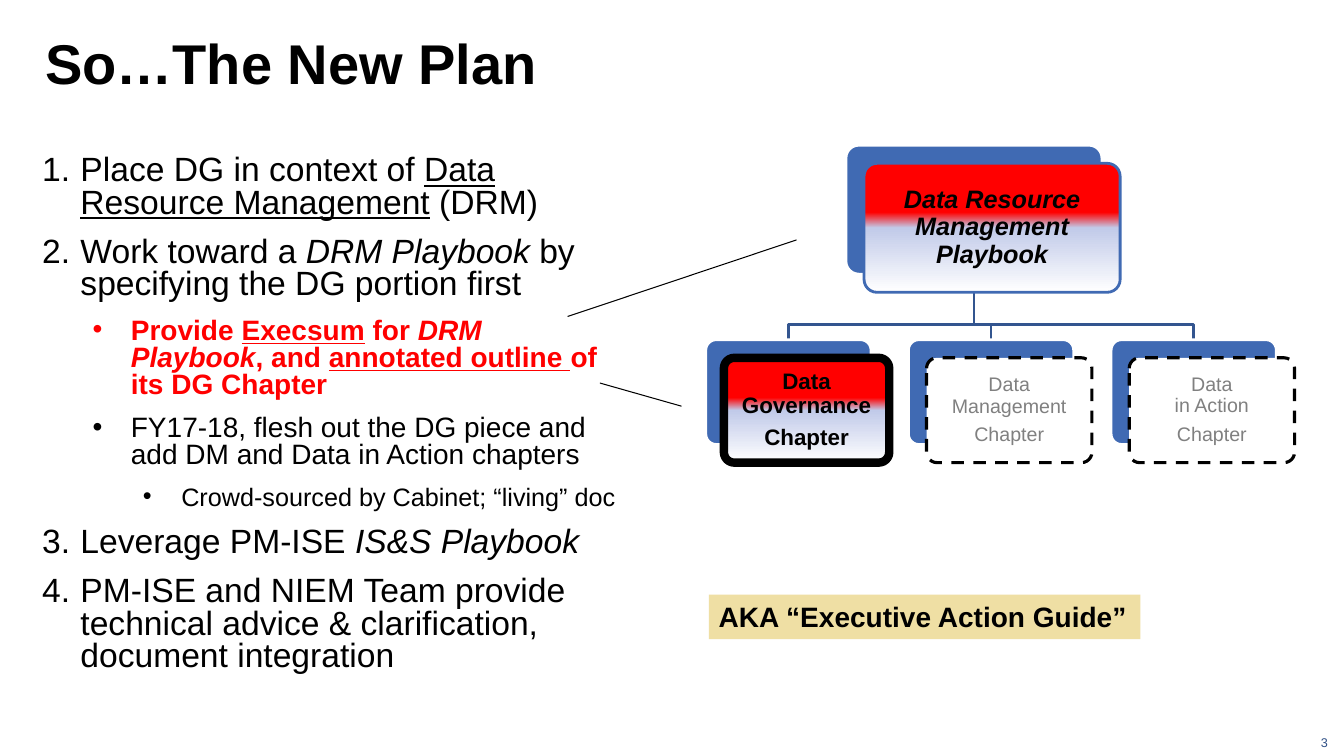
from lxml.etree import SubElement
from pptx import Presentation
from pptx.dml.color import RGBColor
from pptx.enum.dml import MSO_LINE
from pptx.enum.shapes import MSO_CONNECTOR, MSO_SHAPE
from pptx.enum.text import MSO_ANCHOR as Anchor, PP_ALIGN as Align
from pptx.oxml.ns import qn
from pptx.util import Inches, Pt

BLACK = RGBColor(0x00, 0x00, 0x00)
WHITE = RGBColor(0xFF, 0xFF, 0xFF)
RED = RGBColor(0xFF, 0x00, 0x00)
GREY = RGBColor(0x80, 0x80, 0x80)
BLUE = RGBColor(0x40, 0x6A, 0xB3)
TREE_BLUE = RGBColor(0x33, 0x55, 0x8F)
NUMBER_BLUE = RGBColor(0x30, 0x50, 0x86)
SAND = RGBColor(0xEF, 0xDF, 0xA4)
GRADIENT = [(38, "FF0000"), (50, "C1CAE9"), (100, "FFFFFF"), (100, "E1E5F3")]

TITLE = "So…The New Plan"
PAGE_NUMBER = "3"
ALIAS = "AKA “Executive Action Guide”"
PLAN = [
    (0, BLACK, [("Place DG in context of ", ""), ("Data Resource Management", "u"),
                (" (DRM)", "")]),
    (0, BLACK, [("Work toward a ", ""), ("DRM Playbook ", "i"),
                ("by specifying the DG portion first", "")]),
    (1, RED, [("Provide ", "b"), ("Execsum", "bu"), (" for ", "b"),
              ("DRM Playbook", "bi"), (", and ", "b"),
              ("annotated outline ", "bu"), ("of its DG Chapter", "b")]),
    (1, BLACK, [("FY17-18, flesh out the DG piece and add DM and Data in Action chapters", "")]),
    (2, BLACK, [("Crowd-sourced by Cabinet; “living” doc", "")]),
    (0, BLACK, [("Leverage PM-ISE ", ""), ("IS&S Playbook", "i")]),
    (0, BLACK, [("PM-ISE and NIEM Team provide technical advice & clarification, "
                 "document integration", "")]),
]
LEVEL_SIZES = [24, 20, 18]
PLAYBOOK = [("Data Resource Management Playbook", 0)]
CHAPTERS = [
    ([("Data Governance", 5.6), ("Chapter", 0)], True),
    ([("Data Management", 4.9), ("Chapter", 0)], False),
    ([("Data", 0), ("in Action", 6), ("Chapter", 0)], False),
]
POINTERS = [(5.63, 3.14, 7.9, 2.38), (5.95, 3.8, 6.76, 4.03)]

ROOT_LEFT, ROOT_TOP, ROOT_WIDTH, ROOT_HEIGHT = 8.39, 1.44, 2.54, 1.28
CHAPTER_LEFT, CHAPTER_TOP, CHAPTER_WIDTH, CHAPTER_HEIGHT = 7.0, 3.37, 1.64, 1.04
CHAPTER_PITCH, CARD_OFFSET, BRANCH_TOP = 2.01, 0.18, 3.22

deck = Presentation()
deck.slide_width, deck.slide_height = Inches(13.33), Inches(7.5)
page = deck.slides.add_slide(deck.slide_layouts[6])


def set_insets(frame, inset):
    frame.margin_left = frame.margin_right = Inches(inset)
    frame.margin_top = frame.margin_bottom = Inches(inset)


def add_span(para, text, size, color, style=""):
    span = para.add_run()
    span.text = text
    font = span.font
    font.name, font.size, font.color.rgb = "Arial", Pt(size), color
    font.bold, font.italic, font.underline = ("b" in style, "i" in style, "u" in style)


def add_label(left, top, width, height, text, size, color, style="",
              anchor=Anchor.TOP, align=Align.LEFT, inset=None, wrap=True):
    box = page.shapes.add_textbox(Inches(left), Inches(top), Inches(width), Inches(height))
    frame = box.text_frame
    frame.word_wrap, frame.vertical_anchor = wrap, anchor
    if inset is not None:
        set_insets(frame, inset)
    para = frame.paragraphs[0]
    para.alignment = align
    add_span(para, text, size, color, style)
    return box


def add_plate(left, top, width, height, line_color, line_width):
    plate = page.shapes.add_shape(MSO_SHAPE.ROUNDED_RECTANGLE, Inches(left), Inches(top),
                                  Inches(width), Inches(height))
    plate.adjustments[0] = 0.1
    plate.shadow.inherit = False
    plate.fill.solid()
    plate.fill.fore_color.rgb = BLUE
    plate.line.color.rgb, plate.line.width = line_color, Pt(line_width)
    return plate


def fill_gradient(shape):
    shape.fill.gradient()
    shape.fill.gradient_angle = 270
    stops = shape.fill._fill._gradFill.find(qn("a:gsLst"))
    for stop in list(stops):
        stops.remove(stop)
    for position, color in GRADIENT:
        stop = SubElement(stops, qn("a:gs"), pos=str(position * 1000))
        SubElement(stop, qn("a:srgbClr"), val=color)


def add_card(left, top, width, height, lines, size, color, style, line_color, line_width,
             inset, active):
    add_plate(left, top, width, height, WHITE, 2)
    front = add_plate(left + CARD_OFFSET, top + CARD_OFFSET, width, height,
                      line_color, line_width)
    if active:
        fill_gradient(front)
    else:
        front.fill.fore_color.rgb = WHITE
        front.line.dash_style = MSO_LINE.DASH
    frame = front.text_frame
    frame.word_wrap, frame.vertical_anchor = True, Anchor.MIDDLE
    set_insets(frame, inset)
    for index, (text, gap) in enumerate(lines):
        para = frame.add_paragraph() if index else frame.paragraphs[0]
        para.alignment, para.line_spacing, para.space_after = Align.CENTER, 0.9, Pt(gap)
        add_span(para, text, size, color, style)


def add_branch(start_x, end_x):
    points = [(start_x, ROOT_TOP + ROOT_HEIGHT), (start_x, BRANCH_TOP),
              (end_x, BRANCH_TOP), (end_x, CHAPTER_TOP)]
    corners = [(Inches(x), Inches(y)) for x, y in points]
    builder = page.shapes.build_freeform(*corners[0])
    builder.add_line_segments(corners[1:], close=False)
    branch = builder.convert_to_shape()
    branch.shadow.inherit = False
    branch.fill.background()
    branch.line.color.rgb, branch.line.width = TREE_BLUE, Pt(2)


def add_plan():
    box = page.shapes.add_textbox(Inches(0.32), Inches(1.5), Inches(5.93), Inches(5.28))
    frame = box.text_frame
    frame.word_wrap = True
    for index, (level, color, spans) in enumerate(PLAN):
        para = frame.add_paragraph() if index else frame.paragraphs[0]
        para.level, para.line_spacing, para.space_after = level, 0.8, Pt(12)
        properties = para._p.get_or_add_pPr()
        properties.set("marL", str(Inches(0.38 + 0.5 * level)))
        properties.set("indent", str(Inches(-0.38)))
        if level:
            SubElement(properties, qn("a:buFont"), typeface="Arial")
            SubElement(properties, qn("a:buChar"), char="•")
        else:
            SubElement(properties, qn("a:buFont"), typeface="+mj-lt")
            SubElement(properties, qn("a:buAutoNum"), type="arabicPeriod")
        for text, style in spans:
            add_span(para, text, LEVEL_SIZES[level], color, style)


title = add_label(0.45, 0, 9.33, 0.96, TITLE, 40, BLACK, "b", Anchor.BOTTOM, inset=0)
title.text_frame.paragraphs[0].line_spacing = 0.9
add_label(12.25, 7.29, 0.92, 0.15, PAGE_NUMBER, 9, NUMBER_BLUE, "",
          Anchor.MIDDLE, Align.RIGHT, 0)

chapter_lefts = [CHAPTER_LEFT + CHAPTER_PITCH * index for index in range(len(CHAPTERS))]
for left in reversed(chapter_lefts):
    add_branch(ROOT_LEFT + ROOT_WIDTH / 2, left + CHAPTER_WIDTH / 2)
add_card(ROOT_LEFT, ROOT_TOP, ROOT_WIDTH, ROOT_HEIGHT, PLAYBOOK, 18, BLACK, "bi",
         BLUE, 2, 0.07, True)
for left, (lines, active) in zip(chapter_lefts, CHAPTERS):
    look = (16, BLACK, "b", BLACK, 6, 0.07) if active else (14, GREY, "", BLACK, 2.25, 0.06)
    add_card(left, CHAPTER_TOP, CHAPTER_WIDTH, CHAPTER_HEIGHT, lines, *look, active)

add_plan()
for ends in POINTERS:
    pointer = page.shapes.add_connector(MSO_CONNECTOR.STRAIGHT, *map(Inches, ends))
    pointer.line.color.rgb, pointer.line.width = BLACK, Pt(0.75)
    SubElement(pointer._element.spPr, qn("a:effectLst"))
alias = add_label(7.03, 5.9, 4.28, 0.44, ALIAS, 20, BLACK, "b", wrap=False)
alias.fill.solid()
alias.fill.fore_color.rgb = SAND

deck.save("out.pptx")
